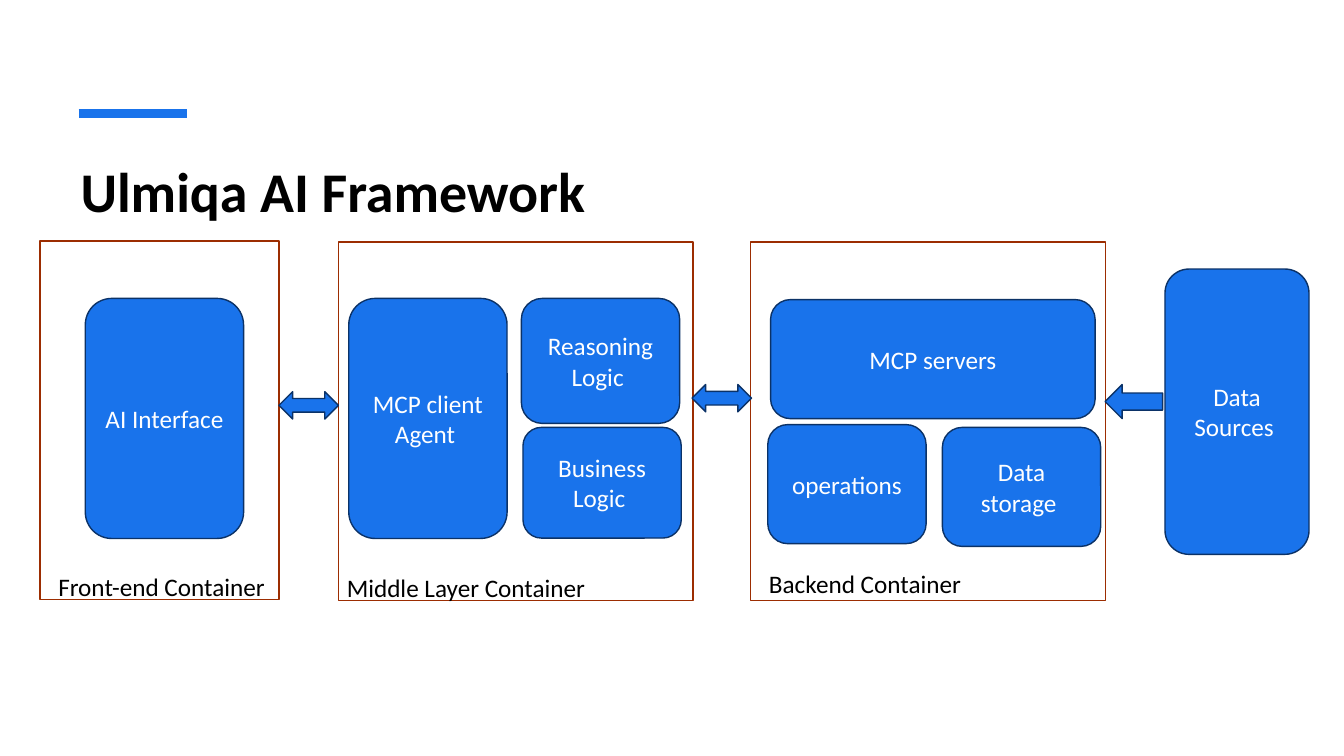
from dataclasses import dataclass

from lxml import etree
from pptx import Presentation
from pptx.dml.color import RGBColor
from pptx.enum.shapes import MSO_CONNECTOR, MSO_SHAPE
from pptx.enum.text import MSO_ANCHOR, PP_ALIGN
from pptx.oxml.ns import qn
from pptx.util import Cm, Pt

RECT = MSO_SHAPE.RECTANGLE
ROUNDED = MSO_SHAPE.ROUNDED_RECTANGLE
BOTH_WAYS = MSO_SHAPE.LEFT_RIGHT_ARROW
LEFTWARD = MSO_SHAPE.LEFT_ARROW
STRAIGHT = MSO_CONNECTOR.STRAIGHT
TOP, MIDDLE = MSO_ANCHOR.TOP, MSO_ANCHOR.MIDDLE
LEFT, CENTER = PP_ALIGN.LEFT, PP_ALIGN.CENTER

COLORS = {
    "blue": "1973EB",
    "navy": "0B3267",
    "rust": "9C2D01",
    "black": "000000",
    "white": "FFFFFF",
}
BODY = {"name": "Calibri", "size": Pt(18)}
TITLE = {"name": "Calibri", "size": Pt(40), "bold": True}
BLOCK_W = 3.99
TALL_H = 6.05
LOW_H = 3.0


@dataclass
class Item:
    """A shape or label; lengths are in centimetres."""
    x: float
    y: float
    w: float
    h: float
    text: str = ""
    kind: MSO_SHAPE = ROUNDED


CONTAINERS = [
    Item(1.01, 6.07, 6.02, 9.04, kind=RECT),
    Item(8.53, 6.1, 8.94, 9.04, kind=RECT),
    Item(18.92, 6.1, 8.94, 9.04, kind=RECT),
]
LABELS = [
    Item(1.22, 14.27, 6.3, 1.02, "Front-end Container"),
    Item(8.49, 14.3, 7.11, 1.02, "Middle Layer Container"),
    Item(19.13, 14.2, 5.84, 1.02, "Backend Container"),
]
BLOCKS = [
    Item(2.15, 7.52, BLOCK_W, TALL_H, "AI Interface"),
    Item(8.79, 7.52, BLOCK_W, TALL_H, "MCP client Agent "),
    Item(13.14, 7.52, BLOCK_W, 3.15, "Reasoning Logic "),
    Item(13.18, 10.77, BLOCK_W, 2.79, "Business Logic "),
    Item(19.42, 7.55, 8.18, LOW_H, "MCP servers"),
    Item(19.35, 10.7, BLOCK_W, LOW_H, "operations"),
    Item(23.75, 10.77, BLOCK_W, LOW_H, "Data storage "),
    Item(29.36, 6.78, 3.63, 7.19, "Data Sources "),
]
ARROWS = [
    Item(7.03, 9.87, 1.5, 0.69, kind=BOTH_WAYS),
    Item(17.44, 9.69, 1.5, 0.69, kind=BOTH_WAYS),
    Item(27.85, 9.69, 1.45, 0.86, kind=LEFTWARD),
]


def rgb(name: str) -> RGBColor:
    return RGBColor.from_string(COLORS[name])


def bounds(item: Item) -> list[Cm]:
    return [Cm(v) for v in (item.x, item.y, item.w, item.h)]


def write(tf, text: str, font: dict, color: str, align=LEFT, anchor=TOP) -> None:
    tf.word_wrap = True
    tf.vertical_anchor = anchor
    p = tf.paragraphs[0]
    p.alignment = align
    r = p.add_run()
    r.text = text
    for key, value in font.items():
        setattr(r.font, key, value)
    r.font.color.rgb = rgb(color)


def add_item(s, item: Item, line: str, fill: str = "") -> None:
    sp = s.shapes.add_shape(item.kind, *bounds(item))
    sp.shadow.inherit = False
    if fill:
        sp.fill.solid()
        sp.fill.fore_color.rgb = rgb(fill)
    else:
        sp.fill.background()
    sp.line.color.rgb = rgb(line)
    sp.line.width = Pt(1)
    if item.text:
        write(sp.text_frame, item.text, BODY, "white", CENTER, MIDDLE)


def add_label(s, item: Item, font: dict) -> None:
    box = s.shapes.add_textbox(*bounds(item))
    write(box.text_frame, item.text, font, "black")


def add_accent_line(s) -> None:
    cn = s.shapes.add_connector(STRAIGHT, Cm(1.98), Cm(2.86), Cm(4.7), Cm(2.86))
    cn.line.color.rgb = rgb("blue")
    cn.line.width = Pt(6)
    etree.SubElement(cn._element.spPr, qn("a:effectLst"))


def main() -> None:
    prs = Presentation()
    prs.slide_width, prs.slide_height = Cm(33.87), Cm(19.05)
    s = prs.slides.add_slide(prs.slide_layouts[6])
    add_accent_line(s)
    add_label(s, Item(1.78, 3.81, 30.25, 3.05, "Ulmiqa AI Framework"), TITLE)
    for container in CONTAINERS:
        add_item(s, container, "rust")
    for label in LABELS:
        add_label(s, label, BODY)
    for item in BLOCKS + ARROWS:
        add_item(s, item, "navy", "blue")
    prs.save("out.pptx")


if __name__ == "__main__":
    main()
